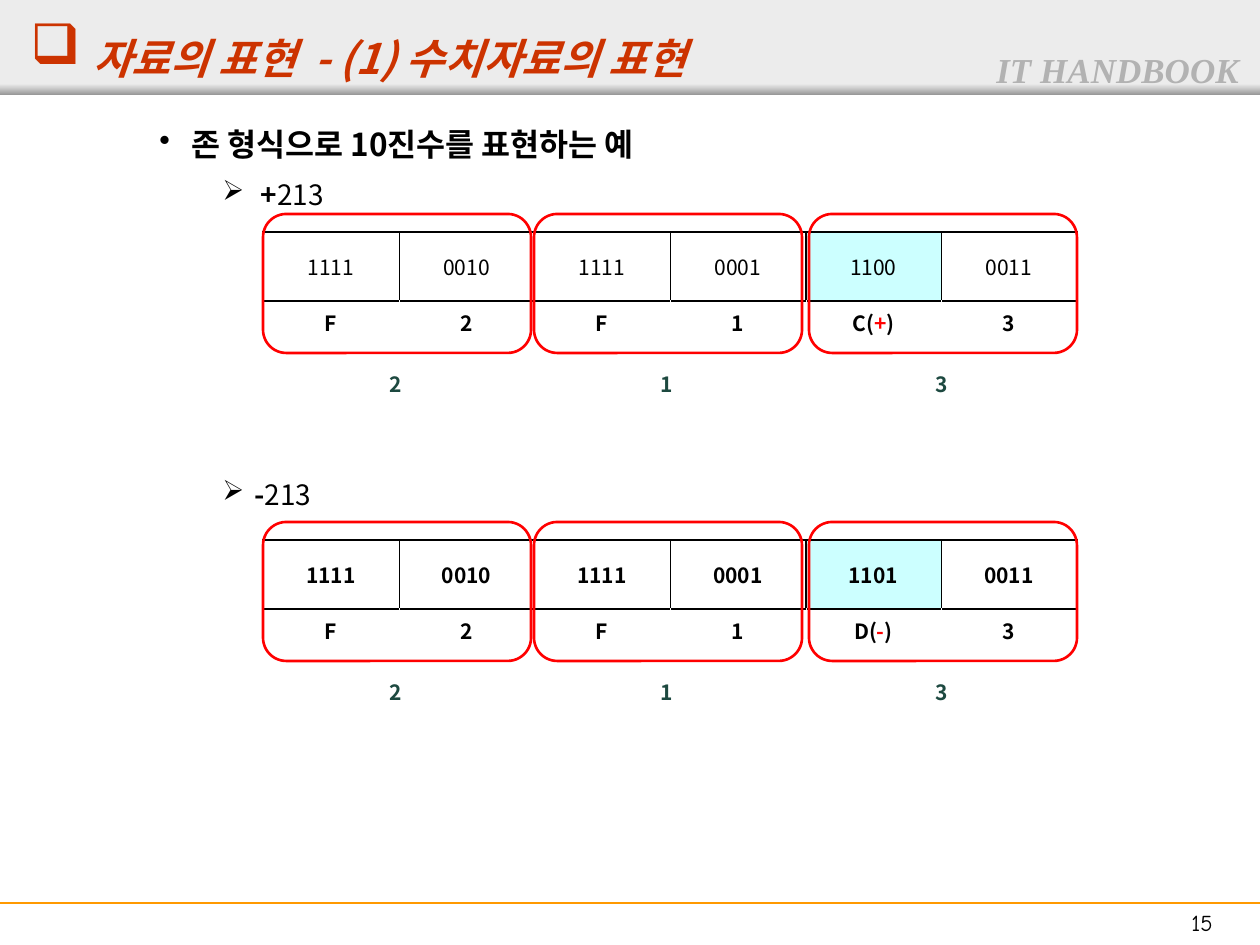
from dataclasses import dataclass
from typing import Optional

import pptx
import pptx.dml.color
import pptx.enum.shapes
import pptx.enum.text
import pptx.oxml
import pptx.oxml.ns
import pptx.util
from lxml import etree

RGBColor = pptx.dml.color.RGBColor
SHAPE = pptx.enum.shapes.MSO_SHAPE
ALIGN = pptx.enum.text.PP_ALIGN
ANCHOR = pptx.enum.text.MSO_ANCHOR
qn = pptx.oxml.ns.qn

EMU_PER_PX = 914400 / 126
BLACK = RGBColor(0x00, 0x00, 0x00)
WHITE = RGBColor(0xFF, 0xFF, 0xFF)
RED = RGBColor(0xFF, 0x00, 0x00)
RUST = RGBColor(0xCC, 0x33, 0x00)
ORANGE = RGBColor(0xFF, 0x99, 0x00)
PALE_GRAY = RGBColor(0xEC, 0xEC, 0xEC)
MID_GRAY = RGBColor(0xB2, 0xB2, 0xB2)
DARK_GRAY = RGBColor(0x97, 0x97, 0x97)
PALE_CYAN = RGBColor(0xCC, 0xFF, 0xFF)
DARK_GREEN = RGBColor(0x1D, 0x49, 0x40)
KOREAN_FONT = "Noto Sans CJK KR"

COLUMN_WIDTHS = (136, 135, 136, 136, 135, 136)
ROW_HEIGHTS = (69, 38)
BYTE_LEFTS = (263, 534, 809)
DIGITS = ("2", "1", "3")
SIGN_COLUMN = 4


@dataclass(frozen=True)
class ZonedNumber:
    top: int
    sign: str
    sign_bits: str
    sign_hex: str
    bold_bits: bool


ZONED_NUMBERS = (
    ZonedNumber(214, "+", "1100", "C", False),
    ZonedNumber(522, "-", "1101", "D", True),
)


def px(length: int) -> pptx.util.Emu:
    return pptx.util.Emu(round(length * EMU_PER_PX))


def write(paragraph, text: str, *, size: float, color: RGBColor = BLACK,
          font: str = KOREAN_FONT, bold: bool = False, italic: bool = False) -> None:
    run = paragraph.add_run()
    run.text = text
    run.font.size = pptx.util.Pt(size)
    run.font.color.rgb = color
    run.font.bold = bold
    run.font.italic = italic
    run.font.name = font
    etree.SubElement(run.font._element, qn("a:ea")).set("typeface", font)


def add_text_box(shapes, left: int, top: int, width: int, height: int, wrap: bool = True):
    frame = shapes.add_textbox(px(left), px(top), px(width), px(height)).text_frame
    frame.word_wrap = wrap
    return frame


def set_bullet(paragraph, mark: str, color: RGBColor, margin: int = 0, indent: int = 0) -> None:
    properties = paragraph._p.get_or_add_pPr()
    properties.set("marL", str(px(margin)))
    properties.set("indent", str(px(indent)))
    bullet_color = etree.SubElement(properties, qn("a:buClr"))
    etree.SubElement(bullet_color, qn("a:srgbClr")).set("val", str(color))
    etree.SubElement(properties, qn("a:buChar")).set("char", mark)


def add_rectangle(shapes, left: int, top: int, width: int, height: int, kind=SHAPE.RECTANGLE):
    rectangle = shapes.add_shape(kind, px(left), px(top), px(width), px(height))
    rectangle.shadow.inherit = False
    return rectangle


def set_border(cell, side: str, color: RGBColor, points: float) -> None:
    line = etree.SubElement(cell._tc.get_or_add_tcPr(), qn(f"a:ln{side}"))
    line.set("w", str(pptx.util.Pt(points)))
    fill = etree.SubElement(line, qn("a:solidFill"))
    etree.SubElement(fill, qn("a:srgbClr")).set("val", str(color))


def set_borders(cell, row: int, column: int) -> None:
    outer, inner = (BLACK, 1.08), (BLACK, 0.1)
    blank = (WHITE, 0.45)
    left_half = column % 2 == 0
    if row == 0:
        borders = {"L": outer if left_half else inner, "R": inner if left_half else outer,
                   "T": outer, "B": outer}
    else:
        borders = {"L": blank, "R": blank, "T": outer, "B": blank}
    for side, (color, points) in borders.items():
        set_border(cell, side, color, points)


def add_bit_table(shapes, number: ZonedNumber) -> None:
    table = shapes.add_table(2, len(COLUMN_WIDTHS), px(BYTE_LEFTS[0]), px(number.top + 18),
                             px(sum(COLUMN_WIDTHS)), px(sum(ROW_HEIGHTS))).table
    table.first_row = table.horz_banding = False
    for column, width in zip(table.columns, COLUMN_WIDTHS):
        column.width = px(width)
    for row, height in zip(table.rows, ROW_HEIGHTS):
        row.height = px(height)

    bits = ("1111", "0010", "1111", "0001", number.sign_bits, "0011")
    hex_digits = ("F", "2", "F", "1", number.sign_hex, "3")
    for row, values in enumerate((bits, hex_digits)):
        for column, value in enumerate(values):
            cell = table.cell(row, column)
            cell.vertical_anchor = ANCHOR.MIDDLE
            set_borders(cell, row, column)
            if row == 0 and column == SIGN_COLUMN:
                cell.fill.solid()
                cell.fill.fore_color.rgb = PALE_CYAN
            else:
                cell.fill.background()
            paragraph = cell.text_frame.paragraphs[0]
            paragraph.alignment = ALIGN.CENTER
            bold = row == 1 or number.bold_bits
            if row == 1 and column == SIGN_COLUMN:
                write(paragraph, f"{value}(", size=12, bold=bold)
                write(paragraph, number.sign, size=12, bold=bold, color=RED)
                write(paragraph, ")", size=12, bold=bold)
            else:
                write(paragraph, value, size=12, bold=bold)


def add_byte_group(shapes, left: int, top: int, digit: str) -> None:
    group = shapes.add_group_shape().shapes
    outline = add_rectangle(group, left, top, 268, 139, SHAPE.ROUNDED_RECTANGLE)
    outline.fill.background()
    outline.line.color.rgb = RED
    outline.line.width = pptx.util.Pt(1.5)
    label = add_text_box(group, left + 114, top + 151, 37, 38, wrap=False).paragraphs[0]
    label.alignment = ALIGN.CENTER
    write(label, digit, size=12, color=DARK_GREEN, bold=True)


def add_frame(shapes) -> None:
    header = add_rectangle(shapes, 0, 0, 1260, 95)
    header.fill.solid()
    header.fill.fore_color.rgb = PALE_GRAY
    header.line.fill.background()

    header_edge = add_rectangle(shapes, 0, 84, 1260, 11)
    header_edge.fill.gradient()
    header_edge.fill.gradient_angle = 270
    for stop, color, position in zip(header_edge.fill.gradient_stops, (PALE_GRAY, DARK_GRAY), (0, 1)):
        stop.color.rgb = color
        stop.position = position
    header_edge.line.fill.background()

    footer_rule = shapes.add_connector(pptx.enum.shapes.MSO_CONNECTOR.STRAIGHT,
                                       px(0), px(903), px(1260), px(903))
    footer_rule.line.color.rgb = ORANGE
    footer_rule.line.width = pptx.util.Pt(1.5)
    etree.SubElement(footer_rule._element.spPr, qn("a:effectLst"))

    series = add_text_box(shapes, 984, 42, 276, 55).paragraphs[0]
    write(series, "IT HANDBOOK", size=20, color=MID_GRAY, font="Times New Roman", bold=True, italic=True)
    page_number = add_text_box(shapes, 1144, 903, 116, 40).paragraphs[0]
    page_number.alignment = ALIGN.CENTER
    write(page_number, "15", size=13, font="Comic Neue")


def add_body(shapes) -> None:
    body = add_text_box(shapes, 21, 115, 1191, 779)
    heading = body.paragraphs[0]
    set_bullet(heading, "•", BLACK, 158, -32)
    heading.line_spacing = 1.1
    heading.space_after = pptx.util.Pt(8)
    write(heading, "존 형식으로 10진수를 표현하는 예", size=18, bold=True)

    for number, lead, gap in zip(ZONED_NUMBERS, (" ", ""), (4, 156)):
        item = body.add_paragraph()
        set_bullet(item, "➢", BLACK, 221, -32)
        item.line_spacing = 0.8
        item.space_before = pptx.util.Pt(gap)
        write(item, lead + number.sign, size=16, bold=True)
        write(item, "213", size=16)


def add_title(shapes) -> None:
    frame = add_text_box(shapes, 18, 18, 1134, 58)
    frame.margin_top = 0
    title = frame.paragraphs[0]
    set_bullet(title, "❑", RUST)
    write(title, " ", size=32, color=RUST, bold=True, italic=True)
    write(title, "자료의 표현  - (1) 수치자료의 표현", size=24, color=RUST, bold=True, italic=True)


def main() -> None:
    presentation = pptx.Presentation()
    presentation.slide_width, presentation.slide_height = px(1260), px(945)
    shapes = presentation.slides.add_slide(presentation.slide_layouts[6]).shapes
    add_frame(shapes)
    add_body(shapes)
    add_title(shapes)
    for number in ZONED_NUMBERS:
        add_bit_table(shapes, number)
        for left, digit in zip(BYTE_LEFTS, DIGITS):
            add_byte_group(shapes, left, number.top, digit)
    presentation.save("out.pptx")


if __name__ == "__main__":
    main()
